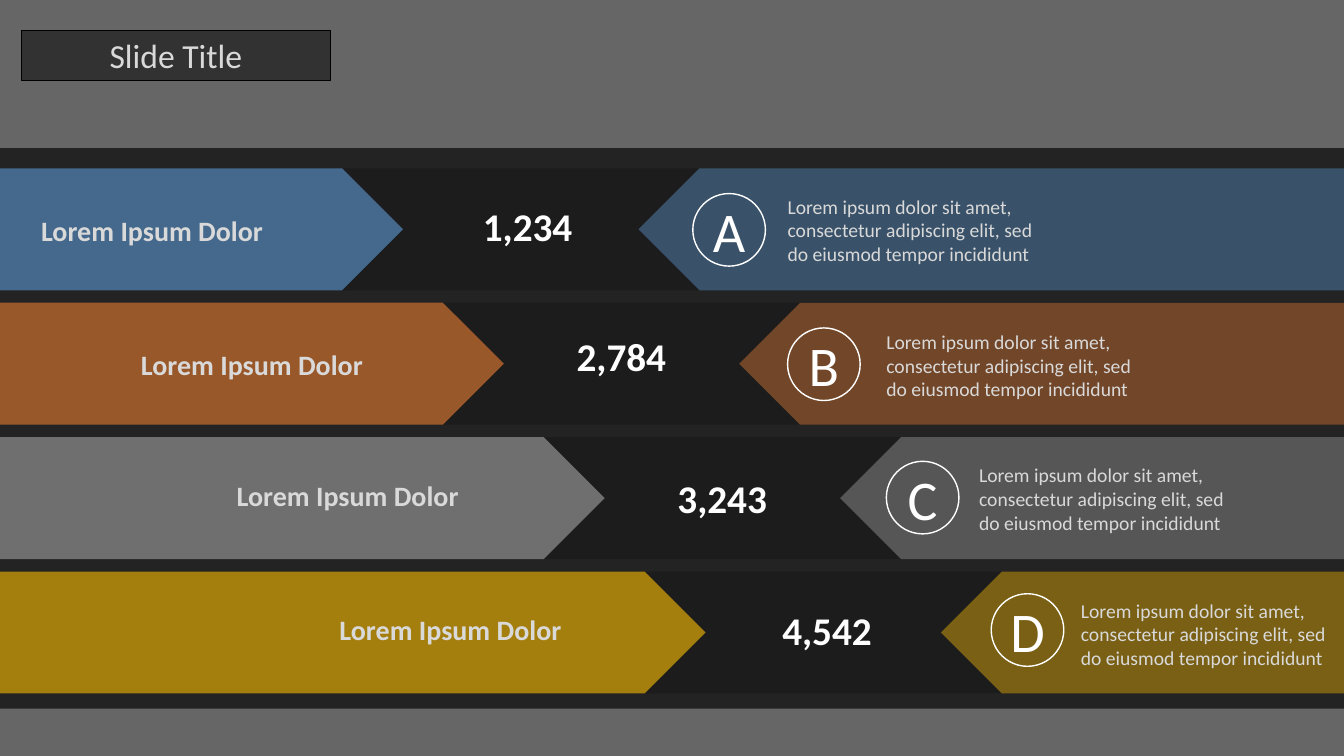
from dataclasses import dataclass

from lxml.etree import SubElement
from pptx import Presentation
from pptx.dml.color import RGBColor
from pptx.enum.shapes import MSO_SHAPE as Preset
from pptx.enum.text import MSO_ANCHOR as Anchor, MSO_AUTO_SIZE as AutoSize, PP_ALIGN as Align
from pptx.oxml.ns import qn
from pptx.util import Inches, Pt

WIDTH, HEIGHT = 40 / 3, 7.5
COLUMN, ROW = WIDTH * 0.075, HEIGHT * 8 / 45
BAND_TOP, BAND_HEIGHT = 1.67, 1.21
POINT = BAND_HEIGHT / 2
FONT = "Calibri"
COLORS = {
    "black": "000000", "panel": "0D0D0D", "white": "FFFFFF", "soft": "D9D9D9",
    "blue": "5A99D3", "orange": "E97C30", "gray": "A3A3A3", "gold": "FBBD00",
}
LABEL = "Lorem Ipsum Dolor"
DETAIL = "Lorem ipsum dolor sit amet, consectetur adipiscing elit, sed do eiusmod tempor incididunt"


@dataclass
class Band:
    letter: str
    value: str
    color: str
    label: tuple
    number: tuple
    badge: tuple
    detail: tuple


BANDS = [
    Band("A", "1,234", "blue", (-3.99, 0.45), (0.12, 0.42), (0.54, 0.25), (1.48, 0.26)),
    Band("B", "2,784", "orange", (-4, 0.44), (0.05, 0.38), (0.48, 0.25), (1.46, 0.27)),
    Band("C", "3,243", "gray", (-4.05, 0.41), (0.05, 0.46), (0.46, 0.24), (1.38, 0.26)),
    Band("D", "4,542", "gold", (-4.03, 0.41), (0.09, 0.43), (0.5, 0.22), (1.39, 0.27)),
]


def paint(shape, color, opacity):
    shape.shadow.inherit = False
    shape.line.fill.background()
    shape.fill.solid()
    shape.fill.fore_color.rgb = RGBColor.from_string(COLORS[color])
    tint = shape.fill._xPr.find(qn("a:solidFill"))[0]
    SubElement(tint, qn("a:alpha")).set("val", str(opacity * 1000))


def outline(shape, color, width):
    shape.line.color.rgb = RGBColor.from_string(COLORS[color])
    shape.line.width = Pt(width)


def add_plate(page, preset, box, color, opacity, rotation=0):
    plate = page.shapes.add_shape(preset, *map(Inches, box))
    paint(plate, color, opacity)
    plate.rotation = rotation
    return plate


def write(shape, text, size, color, align, anchor=Anchor.TOP, bold=False, wrap=True):
    frame = shape.text_frame
    frame.word_wrap = wrap
    frame.vertical_anchor = anchor
    frame.margin_left = frame.margin_right = frame.margin_top = frame.margin_bottom = 0
    para = frame.paragraphs[0]
    para.text = text
    para.alignment = align
    para.font.name = FONT
    para.font.size = Pt(size)
    para.font.bold = bold
    para.font.color.rgb = RGBColor.from_string(COLORS[color])


def add_text(page, box, text, size, color, align, anchor=Anchor.TOP, bold=False):
    text_box = page.shapes.add_textbox(*map(Inches, box))
    write(text_box, text, size, color, align, anchor, bold)
    if anchor == Anchor.TOP:
        text_box.text_frame.auto_size = AutoSize.SHAPE_TO_FIT_TEXT


def add_gap(page, tip, notch, top):
    middle, bottom = top + POINT, top + BAND_HEIGHT
    start, *corners = [
        (Inches(x), Inches(y)) for x, y in [
            (tip - POINT, top), (notch + POINT, top), (notch, middle),
            (notch + POINT, bottom), (tip - POINT, bottom), (tip, middle),
        ]
    ]
    builder = page.shapes.build_freeform(*start)
    builder.add_line_segments(corners, close=True)
    paint(builder.convert_to_shape(), "black", 20)


def add_badge(page, box, letter):
    badge = page.shapes.add_shape(Preset.OVAL, *map(Inches, box))
    badge.shadow.inherit = False
    badge.fill.background()
    outline(badge, "white", 1)
    write(badge, letter, 40, "white", Align.CENTER, Anchor.MIDDLE, wrap=False)


def add_band(page, band, tip, notch, top):
    def place(origin, offset, width, height):
        return origin + offset[0], top + offset[1], width, height

    add_plate(page, Preset.PENTAGON, (notch, top, WIDTH - notch, BAND_HEIGHT), band.color, 40, 180)
    add_plate(page, Preset.PENTAGON, (0, top, tip, BAND_HEIGHT), band.color, 60)
    add_gap(page, tip, notch, top)
    add_badge(page, place(notch, band.badge, 0.72, 0.72), band.letter)
    add_text(page, place(tip, band.number, 2.23, 0.29), band.value, 28, "white",
             Align.CENTER, Anchor.MIDDLE, True)
    add_text(page, place(tip, band.label, 2.6, 0.34), LABEL, 20, "soft", Align.RIGHT, bold=True)
    add_text(page, place(notch, band.detail, 2.54, 0.71), DETAIL, 14, "soft", Align.LEFT)


def add_title(page, box):
    title = add_plate(page, Preset.RECTANGLE, box, "black", 50)
    outline(title, "black", 0.75)
    write(title, "Slide Title", 24, "soft", Align.CENTER, Anchor.MIDDLE)


def main():
    deck = Presentation()
    deck.slide_width, deck.slide_height = Inches(WIDTH), Inches(HEIGHT)
    page = deck.slides.add_slide(deck.slide_layouts[6])
    add_plate(page, Preset.RECTANGLE, (0, 0, WIDTH, HEIGHT), "black", 60)
    add_plate(page, Preset.RECTANGLE, (0, 1.47, WIDTH, 5.56), "panel", 75)
    add_title(page, (0.21, 0.3, 3.07, 0.5))
    for index, band in enumerate(BANDS):
        tip = (4 + index) * COLUMN
        add_band(page, band, tip, tip + COLUMN * 7 / 3, BAND_TOP + index * ROW)
    deck.save("out.pptx")


if __name__ == "__main__":
    main()
